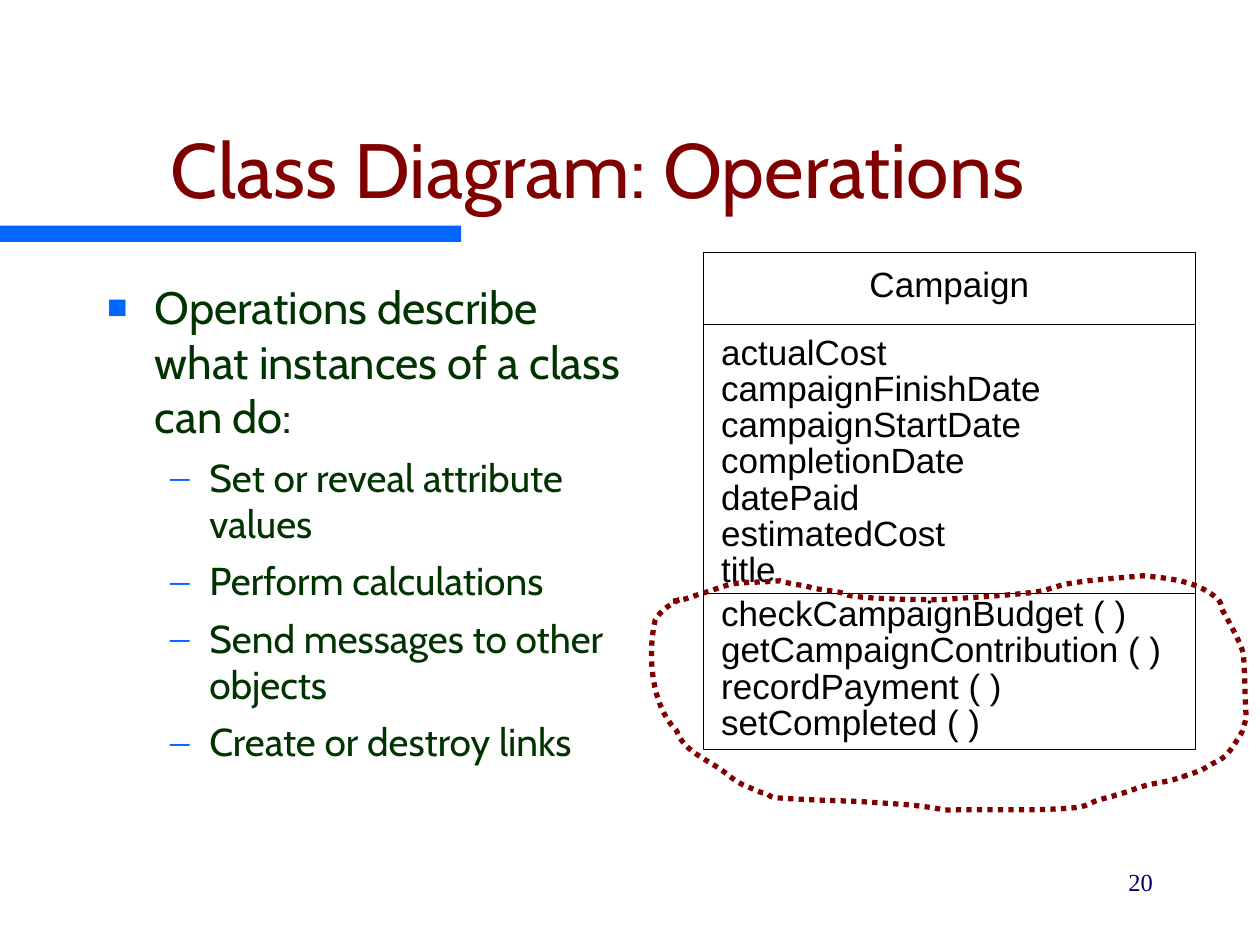
from dataclasses import dataclass

from lxml import etree
from pptx import Presentation
from pptx import util as u
from pptx.dml import color
from pptx.enum import dml, shapes, text
from pptx.oxml import ns


@dataclass(frozen=True)
class Theme:
    accent: str = "0066FF"
    title: str = "800000"
    body: str = "003300"
    number: str = "000066"
    ink: str = "000000"
    paper: str = "FFFFFF"
    heading_font: str = "Cabin"
    class_font: str = "Arial"
    number_font: str = "Times New Roman"
    title_size: float = 44
    point_size: float = 25.9
    subpoint_size: float = 22.2
    class_size: float = 20
    number_size: float = 14
    thin: float = 0.37
    thick: float = 3


THEME = Theme()
POINTS = [
    (0, "Operations describe what instances of a class can do:"),
    (1, "Set or reveal attribute values"),
    (1, "Perform calculations"),
    (1, "Send messages to other objects"),
    (1, "Create or destroy links"),
]
ATTRIBUTES = [
    ("actualCost", 3.4), ("campaignFinishDate", 6.5),
    ("campaignStartDate", 6.1), ("completionDate", 4.95),
    ("datePaid", 2.85), ("estimatedCost", 4.57), ("title", 1.14),
]
OPERATIONS = [
    ("checkCampaignBudget ( )", 8.18), ("getCampaignContribution ( )", 8.89),
    ("recordPayment ( )", 5.66), ("setCompleted ( )", 5.23),
]
LOOP_UNIT = u.Cm(0.0254)
LOOP_START = (539, 476)
LOOP_CURVES = [
    (530, 481, 525, 484, 520, 492), (514, 518, 516, 559, 537, 580),
    (542, 595, 559, 602, 571, 610), (577, 614, 583, 620, 590, 623),
    (595, 625, 599, 627, 604, 629), (606, 629, 607, 630, 609, 630),
    (610, 631, 612, 633, 614, 633), (637, 635, 681, 636, 681, 636),
    (704, 638, 727, 638, 750, 643), (785, 642, 820, 644, 854, 641),
    (859, 641, 864, 638, 869, 636), (874, 634, 880, 633, 886, 631),
    (894, 629, 903, 625, 911, 623), (920, 621, 929, 620, 937, 617),
    (955, 611, 928, 620, 946, 614), (949, 613, 954, 611, 954, 611),
    (964, 605, 960, 607, 967, 604), (975, 599, 979, 592, 984, 584),
    (987, 580, 989, 569, 989, 569), (988, 553, 988, 537, 987, 521),
    (987, 514, 974, 491, 970, 484), (969, 481, 969, 478, 967, 476),
    (951, 461, 928, 459, 907, 457), (886, 459, 865, 460, 844, 464),
    (837, 466, 829, 469, 821, 470), (797, 473, 772, 474, 747, 476),
    (739, 476, 696, 476, 676, 473), (674, 473, 672, 472, 670, 471),
    (669, 471, 667, 470, 666, 470), (659, 469, 646, 467, 646, 467),
    (637, 464, 628, 464, 619, 461), (607, 462, 596, 462, 584, 463),
    (576, 464, 565, 469, 557, 471), (550, 473, 542, 477, 534, 477),
    (533, 477, 537, 476, 539, 476),
]


def rgb(value):
    return color.RGBColor.from_string(value)


def box(*lengths):
    return [u.Cm(length) for length in lengths]


def add_run(paragraph, words, font, size, ink):
    run = paragraph.add_run()
    run.text = words
    run.font.name = font
    run.font.size = u.Pt(size)
    run.font.color.rgb = rgb(ink)


def add_rectangle(parent, bounds, fill=None, line=None):
    shape = parent.add_shape(shapes.MSO_SHAPE.RECTANGLE, *box(*bounds))
    shape.shadow.inherit = False
    if fill:
        shape.fill.solid()
        shape.fill.fore_color.rgb = rgb(fill)
    else:
        shape.fill.background()
    if line:
        shape.line.color.rgb = rgb(line)
        shape.line.width = u.Pt(THEME.thin)
    else:
        shape.line.fill.background()


def add_divider(parent, left, right, top):
    line = parent.add_connector(
        shapes.MSO_CONNECTOR.STRAIGHT, *box(left, top, right, top))
    line.line.color.rgb = rgb(THEME.ink)
    line.line.width = u.Pt(THEME.thin)
    etree.SubElement(line._element.spPr, ns.qn("a:effectLst"))


def add_label(parent, words, left, top, width, align):
    frame = parent.add_textbox(*box(left, top, width, 0.84)).text_frame
    frame.margin_left = frame.margin_right = 0
    frame.margin_top = frame.margin_bottom = 0
    frame.word_wrap = False
    frame.auto_size = text.MSO_AUTO_SIZE.SHAPE_TO_FIT_TEXT
    paragraph = frame.paragraphs[0]
    paragraph.alignment = align
    add_run(paragraph, words, THEME.class_font, THEME.class_size, THEME.ink)


def add_members(parent, members, top, pitch):
    for row, (words, width) in enumerate(members):
        add_label(parent, words, 14.54, top + row * pitch, width,
                  text.PP_ALIGN.LEFT)


def add_class(slide):
    left, top, width, height = 14.17, 5.08, 9.93, 10.03
    group = slide.shapes.add_group_shape().shapes
    add_rectangle(group, (left, top, width, height), line=THEME.ink)
    add_label(group, "Campaign", 17.5, 5.3, 3.28, text.PP_ALIGN.CENTER)
    for divider in (6.53, 11.96):
        add_divider(group, left, left + width, divider)
    add_members(group, ATTRIBUTES, 6.66, 0.73)
    add_members(group, OPERATIONS, 11.93, 0.73)


def set_bullet(paragraph, character, indent, hanging, percent):
    properties = paragraph._p.get_or_add_pPr()
    properties.set("marL", str(u.Cm(indent)))
    properties.set("indent", str(-u.Cm(hanging)))
    bullet_color = etree.SubElement(properties, ns.qn("a:buClr"))
    etree.SubElement(bullet_color, ns.qn("a:srgbClr"), val=THEME.accent)
    etree.SubElement(properties, ns.qn("a:buSzPct"), val=str(percent * 1000))
    etree.SubElement(properties, ns.qn("a:buFont"), typeface=THEME.number_font)
    etree.SubElement(properties, ns.qn("a:buChar"), char=character)


def add_points(slide):
    styles = [(THEME.point_size, 7, ("■", 0.96, 0.96, 75)),
              (THEME.subpoint_size, 6, ("–", 2.06, 0.79, 100))]
    frame = slide.shapes.add_textbox(*box(1.91, 5.51, 11, 11.43)).text_frame
    frame.word_wrap = True
    for index, (level, words) in enumerate(POINTS):
        size, space, bullet = styles[level]
        paragraph = frame.add_paragraph() if index else frame.paragraphs[0]
        paragraph.level = level
        paragraph.space_before = u.Pt(space)
        set_bullet(paragraph, *bullet)
        add_run(paragraph, words, THEME.heading_font, size, THEME.body)


def add_loop(slide):
    builder = slide.shapes.build_freeform(*LOOP_START, scale=LOOP_UNIT)
    builder.add_line_segments(
        [curve[i:i + 2] for curve in LOOP_CURVES for i in (0, 2, 4)])
    shape = builder.convert_to_shape()
    segments = list(shape._element.iter(ns.qn("a:lnTo")))
    for first in range(0, len(segments), 3):
        bezier = etree.Element(ns.qn("a:cubicBezTo"))
        segments[first].addprevious(bezier)
        for segment in segments[first:first + 3]:
            bezier.append(segment[0])
            segment.getparent().remove(segment)
    shape.shadow.inherit = False
    shape.fill.background()
    shape.line.color.rgb = rgb(THEME.title)
    shape.line.width = u.Pt(THEME.thick)
    shape.line.dash_style = dml.MSO_LINE.ROUND_DOT


def set_title(slide, words):
    title = slide.shapes.title
    title.left, title.top, title.width, title.height = box(
        0.62, 1.25, 22.86, 3.18)
    frame = title.text_frame
    frame.auto_size = text.MSO_AUTO_SIZE.NONE
    frame.vertical_anchor = text.MSO_ANCHOR.BOTTOM
    paragraph = frame.paragraphs[0]
    paragraph.alignment = text.PP_ALIGN.CENTER
    add_run(paragraph, words, THEME.heading_font, THEME.title_size, THEME.title)


def add_number(slide, number):
    frame = slide.shapes.add_textbox(*box(18.21, 17.35, 5.28, 1.27)).text_frame
    frame.word_wrap = True
    paragraph = frame.paragraphs[0]
    paragraph.alignment = text.PP_ALIGN.RIGHT
    paragraph.space_before = u.Pt(8.8)
    add_run(paragraph, number, THEME.number_font, THEME.number_size, THEME.number)


def main():
    presentation = Presentation()
    presentation.slide_width, presentation.slide_height = box(25.4, 19.05)
    slide = presentation.slides.add_slide(presentation.slide_layouts[5])
    add_rectangle(slide.shapes, (0, 4.55, 9.3, 0.33), fill=THEME.accent)
    add_rectangle(slide.shapes, (12.95, 4.67, 12.45, 12.55), fill=THEME.paper)
    set_title(slide, "Class Diagram: Operations")
    add_points(slide)
    add_class(slide)
    add_loop(slide)
    add_number(slide, "20")
    presentation.save("out.pptx")


if __name__ == "__main__":
    main()
